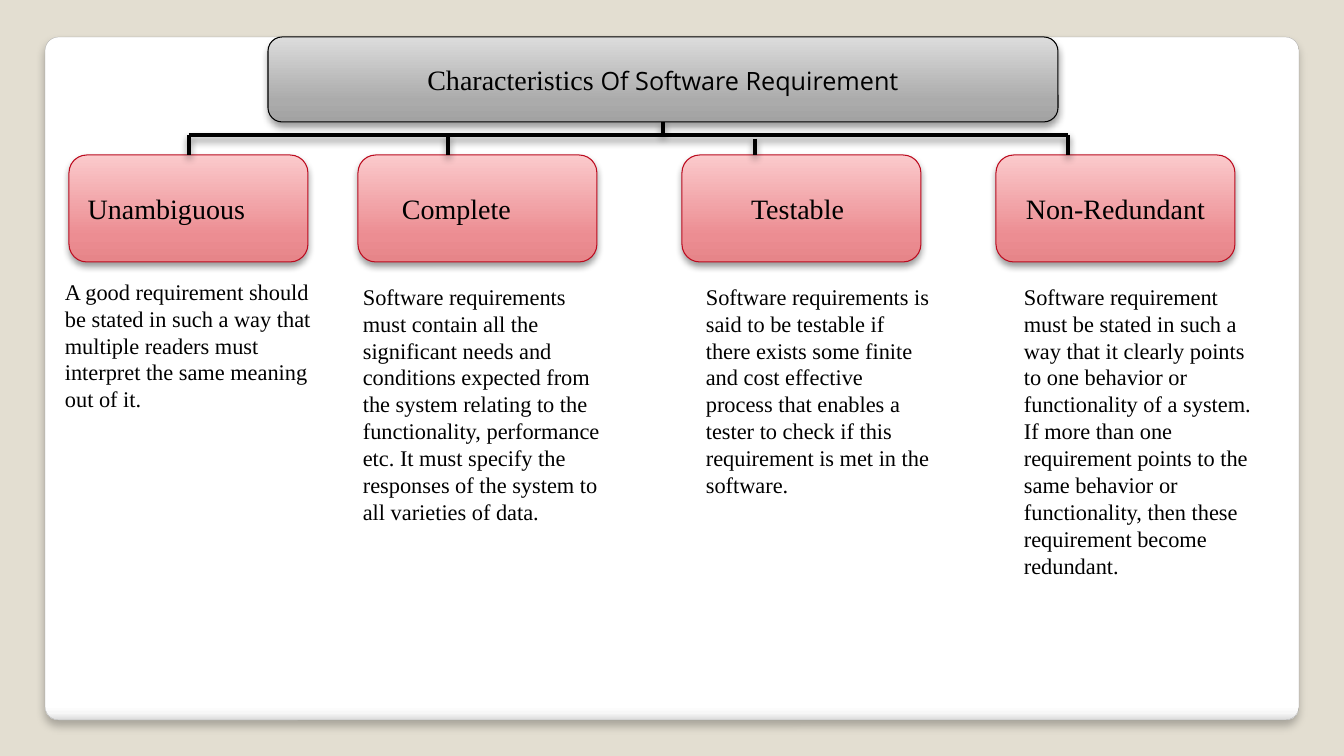
"""Build a slide that charts four characteristics of a software requirement."""
from lxml import etree
from pptx import Presentation
from pptx.dml.color import RGBColor
from pptx.enum.shapes import MSO_CONNECTOR, MSO_SHAPE
from pptx.enum.text import MSO_ANCHOR, PP_ALIGN
from pptx.oxml import parse_xml
from pptx.util import Emu, Pt

SCALE = 914400 / 100.8
NS = 'xmlns:a="http://schemas.openxmlformats.org/drawingml/2006/main"'
SERIF, SANS = "Times New Roman", "Open Sans"
BLACK = "000000"
SOFT_SHADOW = (40, 5.2, 3)


def finish(shape, color, width, shadow, stops=(), angle=270):
    """Give a shape its gradient, line and shadow."""
    properties = shape._element.spPr
    if stops:
        marks = "".join(f'<a:gs pos="{at * 1000}"><a:srgbClr val="{tone}"/></a:gs>' for at, tone in stops)
        properties.append(parse_xml(
            f'<a:gradFill {NS} rotWithShape="1"><a:gsLst>{marks}</a:gsLst>'
            f'<a:lin ang="{angle * 60000}" scaled="0"/></a:gradFill>'))
    shape.line.color.rgb = RGBColor.from_string(color)
    shape.line.width = Pt(width)
    alpha, blur, distance = shadow
    properties.append(parse_xml(
        f'<a:effectLst {NS}><a:outerShdw blurRad="{Pt(blur)}" dist="{Pt(distance)}" dir="5400000" '
        f'algn="ctr" rotWithShape="0"><a:srgbClr val="{BLACK}"><a:alpha val="{alpha * 1000}"/>'
        '</a:srgbClr></a:outerShdw></a:effectLst>'))


def write(shape, *runs):
    """Write runs of text, font and size into the first paragraph."""
    shape.text_frame.word_wrap = True
    paragraph = shape.text_frame.paragraphs[0]
    for text, font, size in runs:
        run = paragraph.add_run()
        run.text = text
        run.font.name, run.font.size = font, Pt(size)
        run.font.color.rgb = RGBColor.from_string(BLACK)
    return paragraph


deck = Presentation()
deck.slide_width, deck.slide_height = Emu(round(1344 * SCALE)), Emu(round(756 * SCALE))
slide = deck.slides.add_slide(deck.slide_layouts[6])
slide.background.fill.solid()
slide.background.fill.fore_color.rgb = RGBColor.from_string("E3DED1")

GRAY = [(0, "A2A2A2"), (25, "ABABAB"), (100, "DCDCDC")]
RED = [(0, "E68589"), (25, "EC8D92"), (100, "FBCACC")]
WHITE = [(0, "FFFFFF"), (98, "FFFFFF"), (99, "F7F7F7"), (100, "DADADA")]

panel = slide.shapes.add_shape(
    MSO_SHAPE.ROUNDED_RECTANGLE, *(Emu(round(v * SCALE)) for v in (45, 37, 1254, 683)))
panel.adjustments[0] = 0.02
finish(panel, "A4A4A4", 0.16, (25, 6, 4), WHITE, 90)

TAB = ("\t", SANS, 18)
boxes = [
    ((268, 37, 790, 85), GRAY, BLACK,
     [("Characteristics", SERIF, 20), (" Of Software Requirement", SANS, 18)]),
    ((69, 155, 239, 107), RED, "BC0B1F", [("Unambiguous", SERIF, 20), TAB]),
    ((358, 155, 239, 107), RED, "BC0B1F", [("Complete", SERIF, 20), TAB]),
    ((682, 155, 239, 107), RED, "BC0B1F", [("Testable", SERIF, 20), TAB]),
    ((996, 155, 239, 107), RED, "BC0B1F", [("Non-Redundant", SERIF, 20)]),
]
for place, stops, border, runs in boxes:
    box = slide.shapes.add_shape(
        MSO_SHAPE.ROUNDED_RECTANGLE, *(Emu(round(v * SCALE)) for v in place))
    finish(box, border, 0.75, SOFT_SHADOW, stops)
    box.text_frame.vertical_anchor = MSO_ANCHOR.MIDDLE
    write(box, *runs).alignment = PP_ALIGN.CENTER

branches = [(663, 122, 663, 135), (189, 135, 1068, 135), (189, 135, 189, 155),
            (448, 135, 448, 155), (755, 139, 755, 155), (1068, 135, 1068, 155)]
for ends in branches:
    branch = slide.shapes.add_connector(
        MSO_CONNECTOR.STRAIGHT, *(Emu(round(v * SCALE)) for v in ends))
    finish(branch, BLACK, 3, SOFT_SHADOW)

descriptions = [
    ((55, 273, 288, 146), "A good requirement should be stated in such a way that multiple readers "
     "must interpret the same meaning out of it."),
    ((353, 278, 270, 254), "Software requirements must contain all the significant needs and "
     "conditions expected from the system relating to the functionality, performance etc. "
     "It must specify the responses of the system to all varieties of data."),
    ((696, 278, 247, 228), "Software requirements is said to be testable if there exists some finite "
     "and cost effective process that enables a tester to check if this requirement is met in "
     "the software."),
    ((1014, 278, 251, 308), "Software requirement must be stated in such a way that it clearly points "
     "to one behavior or functionality of a system. If more than one requirement points to the "
     "same behavior or functionality, then these requirement become redundant."),
]
for place, text in descriptions:
    description = slide.shapes.add_textbox(*(Emu(round(v * SCALE)) for v in place))
    write(description, (text, SERIF, 16))

deck.save("out.pptx")
